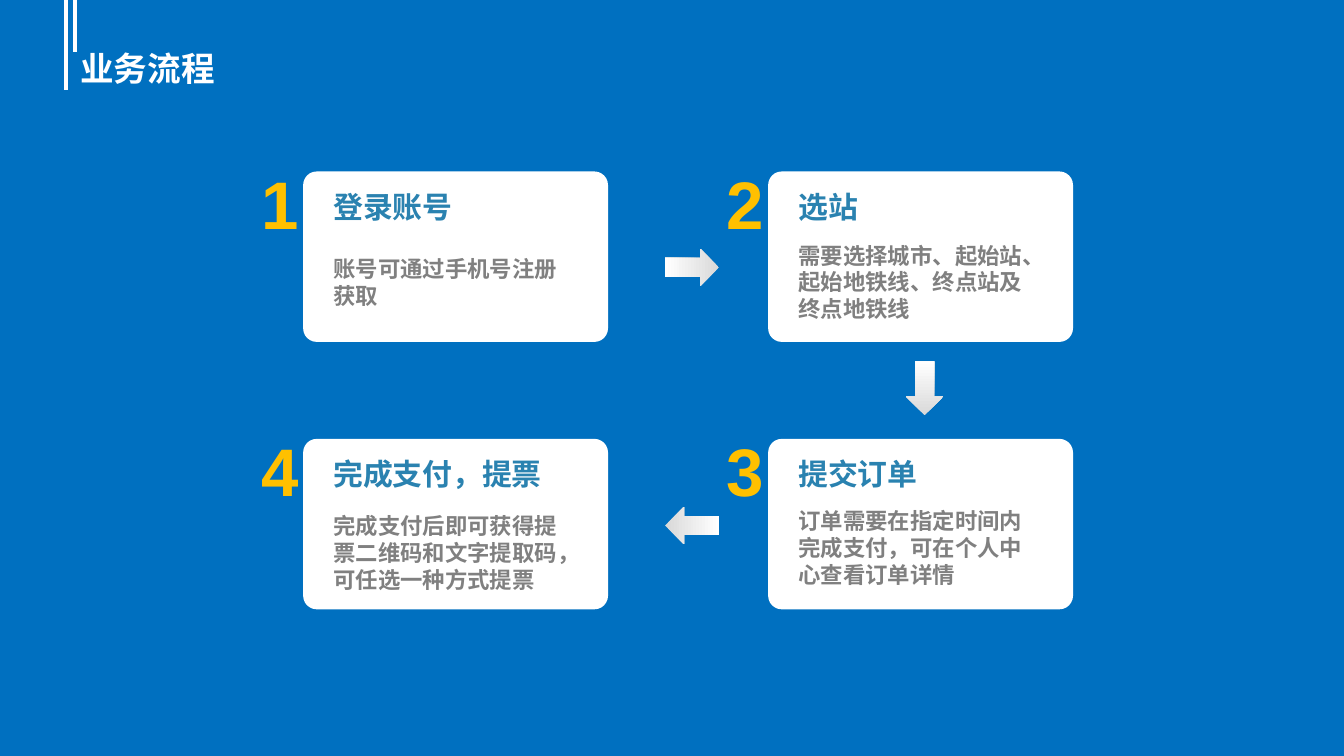
from lxml import etree
from pptx import Presentation
from pptx import util as u
from pptx.dml import color
from pptx.enum import shapes, text
from pptx.oxml import ns

W = 10
H = W * 9 / 16
CARD_W, CARD_H = 2.24, 1.24
LEFT, TOP = 2.27, 1.29
COL, ROW = 3.46, 1.99
SANS = "DejaVu Sans"

STEPS = [
    (0, 0, "登录账号", 0.61, "账号可通过手机号注册获取", 0.45),
    (1, 0, "选站", 0.61, "需要选择城市、起始站、起始地铁线、终点站及终点地铁线", 0.37),
    (1, 1, "提交订单", 0.61, "订单需要在指定时间内完成支付，可在个人中心查看订单详情", 0.36),
    (0, 1, "完成支付，提票", 0.79, "完成支付后即可获得提票二维码和文字提取码，可任选一种方式提票", 0.39),
]
ARROWS = [(4.95, 1.85, 0, False), (6.68, 2.75, 90, False), (4.95, 3.77, 0, True)]


def rgb(value):
    return color.RGBColor.from_string(value)


def inches(box):
    return [u.Inches(v) for v in box]


def part(box, left, top, width, height):
    x, y, w, h = box
    return x + left * w, y + top * h, width * w, height * h


def add_text(s, box, words, size, fill, font=SANS, anchor=text.MSO_ANCHOR.TOP):
    tf = s.shapes.add_textbox(*inches(box)).text_frame
    tf.word_wrap = True
    tf.vertical_anchor = anchor
    tf.text = words
    r = tf.paragraphs[0].runs[0]
    r.font.size = u.Pt(size)
    r.font.bold = True
    r.font.color.rgb = rgb(fill)
    r.font.name = font
    etree.SubElement(r.font._element, ns.qn("a:ea")).set("typeface", font)


def add_header(s, box):
    x, y, w, h = box
    for left, length in ((0.49, 0.67), (0.56, 0.39)):
        line = s.shapes.add_connector(
            shapes.MSO_CONNECTOR.STRAIGHT, *inches((x + left, y, x + left, y + length)))
        line.line.color.rgb = rgb("FFFFFF")
        line.line.width = u.Pt(2.25)
        etree.SubElement(line._element.spPr, ns.qn("a:effectLst"))
    add_text(s, part(box, 0.05, 0.29, 0.9, 0.71), "业务流程", 18, "FFFFFF",
             anchor=text.MSO_ANCHOR.MIDDLE)


def add_card(s, box, number, title, title_width, body, body_top):
    sp = s.shapes.add_shape(shapes.MSO_SHAPE.ROUNDED_RECTANGLE, *inches(box))
    sp.adjustments[0] = 0.07
    sp.shadow.inherit = False
    sp.fill.solid()
    sp.fill.fore_color.rgb = rgb("FFFFFF")
    sp.line.color.rgb = rgb("FFFFFF")
    sp.line.width = u.Pt(2)
    add_text(s, part(box, -0.19, -0.11, 1.23, 0.57), str(number), 36, "FFC000",
             "Arial", text.MSO_ANCHOR.MIDDLE)
    add_text(s, part(box, 0.05, body_top, 0.88, 0.57), body, 12, "808080")
    add_text(s, part(box, 0.05, 0.05, title_width, 0.31), title, 16, "2A82B0")


def add_arrow(s, box, rotation, flipped):
    sp = s.shapes.add_shape(shapes.MSO_SHAPE.RIGHT_ARROW, *inches(box))
    sp.rotation = rotation
    if flipped:
        sp._element.spPr.find(ns.qn("a:xfrm")).set("flipH", "1")
    sp.shadow.inherit = False
    sp.line.fill.background()
    sp.fill.gradient()
    sp.fill.gradient_angle = 180
    for stop, value in zip(sp.fill.gradient_stops, ("D9D9D9", "FFFFFF")):
        stop.color.rgb = rgb(value)


def main():
    prs = Presentation()
    prs.slide_width, prs.slide_height = inches((W, H))
    s = prs.slides.add_slide(prs.slide_layouts[6])
    s.background.fill.solid()
    s.background.fill.fore_color.rgb = rgb("0070C0")
    add_header(s, (0, 0, W, 0.79))
    for x, y, rotation, flipped in ARROWS:
        add_arrow(s, (x, y, 0.4, 0.28), rotation, flipped)
    for number, (col, row, *content) in enumerate(STEPS, 1):
        box = (LEFT + col * COL, TOP + row * ROW, CARD_W, CARD_H)
        add_card(s, box, number, *content)
    prs.save("out.pptx")


if __name__ == "__main__":
    main()
